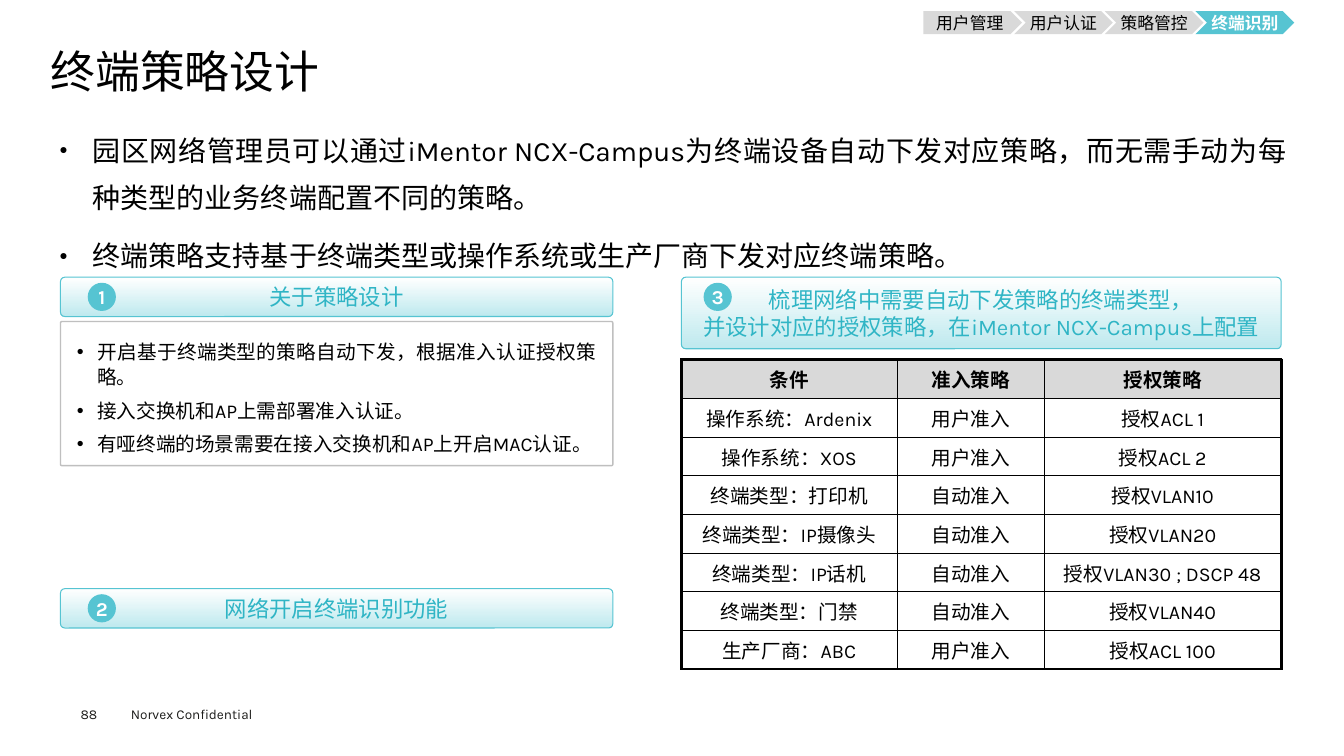
from lxml import etree
from pptx import Presentation, util as u
from pptx.dml.color import RGBColor
from pptx.enum import shapes, text
from pptx.oxml.ns import qn

# Grid: one column or row is a tenth of an inch
CELL = u.Inches(0.1)
COLS, ROWS = 133.33, 75
FONT = "Karla"
HEX = dict(ink="000000", foot="1D1D1B", white="FFFFFF", teal="56C4D2",
           deep="30B5C5", pale="BEE9EE", gray="D9D9D9", edge="BFBFBF")
KIND = shapes.MSO_SHAPE
MID, TOP = text.MSO_ANCHOR.MIDDLE, text.MSO_ANCHOR.TOP
ALIGN = dict(l=text.PP_ALIGN.LEFT, c=text.PP_ALIGN.CENTER, j=text.PP_ALIGN.JUSTIFY)


def grid(n):
    return u.Emu(round(n * CELL))


def tint(name):
    return RGBColor.from_string(HEX[name])


def mark(para, char, hang, share):
    """Give a paragraph a hanging bullet."""
    prop = para._p.get_or_add_pPr()
    prop.set("marL", str(grid(hang)))
    prop.set("indent", str(-grid(hang)))
    etree.SubElement(prop, qn("a:buSzPct")).set("val", str(share * 1000))
    etree.SubElement(prop, qn("a:buFont")).set("typeface", "Arial")
    etree.SubElement(prop, qn("a:buChar")).set("char", char)


def write(frame, lines, size=14, color="ink", bold=False, align="l", lead=None,
          before=0, after=0, bullet=None, inset=(1, 0.5), anchor=TOP, wrap=True):
    """Fill a text frame, one paragraph for each line."""
    frame.word_wrap = wrap
    frame.vertical_anchor = anchor
    frame.margin_left = frame.margin_right = grid(inset[0])
    frame.margin_top = frame.margin_bottom = grid(inset[1])
    for i, line in enumerate(lines):
        para = frame.paragraphs[0] if i == 0 else frame.add_paragraph()
        para.alignment = ALIGN[align]
        if lead:
            para.line_spacing = lead
        if before and i:
            para.space_before = u.Pt(before)
        if after:
            para.space_after = u.Pt(after)
        if bullet:
            mark(para, *bullet)
        run = para.add_run()
        run.text = line
        font = run.font
        font.name, font.size, font.bold = FONT, u.Pt(size), bold
        font.color.rgb = tint(color)


def label(slide, box, lines, **form):
    area = slide.shapes.add_textbox(*map(grid, box))
    write(area.text_frame, lines, **form)


def draw(slide, kind, box, fill=None, line=None, width=1, bend=None):
    shape = slide.shapes.add_shape(kind, *map(grid, box))
    shape.shadow.inherit = False
    if bend is not None:
        shape.adjustments[0] = bend
    if fill:
        shape.fill.solid()
        shape.fill.fore_color.rgb = tint(fill)
    else:
        shape.fill.background()
    if line:
        shape.line.color.rgb = tint(line)
        shape.line.width = u.Pt(width)
    else:
        shape.line.fill.background()
    return shape


def banner(slide, box, num, lines, shift):
    """Shaded heading with a numbered disc, shift columns from its left."""
    left, top, wide, high = box
    bar = draw(slide, KIND.ROUNDED_RECTANGLE, box, line="teal", width=0.75,
               bend=0.43 / high)
    bar.fill.gradient()
    bar.fill.gradient_angle = 270
    for stop, name in zip(bar.fill.gradient_stops, ("white", "pale")):
        stop.color.rgb = tint(name)
    write(bar.text_frame, lines, size=16, color="deep", align="c", anchor=MID)
    disc = draw(slide, KIND.OVAL, (left + shift, top + 0.55, 2.8, 2.8), fill="teal")
    write(disc.text_frame, [num], color="white", bold=True, align="c",
          inset=(0, 0), anchor=MID, wrap=False)


def trail(slide, box, names):
    """Step arrows; the last one is the current step."""
    left, top, wide, high = box
    step = 9
    for i, name in enumerate(names):
        now = i == len(names) - 1
        kind = KIND.CHEVRON if i else KIND.PENTAGON
        arrow = draw(slide, kind, (left + i * step, top, wide - step * (len(names) - 1), high),
                     fill="teal" if now else "gray")
        write(arrow.text_frame, [name], size=12, color="white" if now else "ink",
              bold=now, align="c", inset=(0, 0), anchor=MID)


def rule(cell, sides):
    """Draw the borders of a cell from a dict of side and width."""
    prop = cell._tc.get_or_add_tcPr()
    for side, width in sides.items():
        line = etree.SubElement(prop, qn("a:ln" + side), w=str(u.Pt(width)))
        fill = etree.SubElement(line, qn("a:solidFill"))
        etree.SubElement(fill, qn("a:srgbClr"), val=HEX["ink"])


def matrix(slide, box, widths, rows):
    """Policy table with a heavy frame and a gray head."""
    table = slide.shapes.add_table(len(rows), len(widths), *map(grid, box)).table
    table.horz_banding = False
    for col, wide in zip(table.columns, widths):
        col.width = grid(wide)
    last, end = len(rows) - 1, len(widths) - 1
    for r, row in enumerate(rows):
        table.rows[r].height = grid(box[3] / len(rows))
        for c, word in enumerate(row):
            cell = table.cell(r, c)
            rule(cell, dict(L=1 if c else 2.25, R=2.25 if c == end else 1,
                            T=1 if r else 2.25, B=2.25 if r == last else 1))
            if r:
                cell.fill.background()
            else:
                cell.fill.solid()
                cell.fill.fore_color.rgb = tint("gray")
            write(cell.text_frame, [word], bold=r == 0, align="c")
            cell.vertical_anchor = MID
            cell.margin_left = cell.margin_right = grid(1)
            cell.margin_top = cell.margin_bottom = grid(0.4)


def head(slide, box):
    """Title and opening points."""
    left, top, wide, high = box
    label(slide, (left, top, wide, 5.3), ["终端策略设计"], size=32, lead=0.9, inset=(0, 0))
    label(slide, (left, top + 6.6, wide, high - 6.6), [
        "园区网络管理员可以通过iMentor NCX-Campus为终端设备自动下发对应策略，而无需手动为每种类型的业务终端配置不同的策略。",
        "终端策略支持基于终端类型或操作系统或生产厂商下发对应终端策略。",
    ], size=20, align="j", lead=1.4, before=7.9, bullet=("●", 3.3, 50), inset=(0.9, 0.4))


def design(slide, box):
    """Left column: design notes and recognition."""
    left, top, wide, high = box
    notes = draw(slide, KIND.ROUNDED_RECTANGLE, (left, top + 4.4, wide, 14.3),
                 line="edge", bend=0.01)
    write(notes.text_frame, [
        "开启基于终端类型的策略自动下发，根据准入认证授权策略。",
        "接入交换机和AP上需部署准入认证。",
        "有哑终端的场景需要在接入交换机和AP上开启MAC认证。",
    ], align="j", lead=u.Pt(18), after=6, bullet=("•", 2, 100), inset=(1.6, 1.6))
    bar = 3.9
    banner(slide, (left, top, wide, bar), "1", ["关于策略设计"], 2.7)
    banner(slide, (left, top + high - bar, wide, bar), "2", ["网络开启终端识别功能"], 2.7)


def policy(slide, box):
    """Right column: heading and policy table."""
    left, top, wide, high = box
    banner(slide, (left, top, wide, 7.1), "3",
           ["梳理网络中需要自动下发策略的终端类型，",
            "并设计对应的授权策略，在iMentor NCX-Campus上配置"], 2.2)
    matrix(slide, (left, top + 8.2, wide, high - 8.2), (21.4, 14.6, 23.5), [
        ("条件", "准入策略", "授权策略"),
        ("操作系统：Ardenix", "用户准入", "授权ACL 1"),
        ("操作系统：XOS", "用户准入", "授权ACL 2"),
        ("终端类型：打印机", "自动准入", "授权VLAN10"),
        ("终端类型：IP摄像头", "自动准入", "授权VLAN20"),
        ("终端类型：IP话机", "自动准入", "授权VLAN30 ; DSCP 48"),
        ("终端类型：门禁", "自动准入", "授权VLAN40"),
        ("生产厂商：ABC", "用户准入", "授权ACL 100"),
    ])


def foot(slide, box):
    """Page number and notice."""
    left, top, wide, high = box
    form = dict(size=9.7, color="foot")
    label(slide, (left + 4, top, wide - 4, high), ["Norvex Confidential"], **form)
    label(slide, (left, top + 0.5, 5.5, 1.6), ["88"], inset=(0, 0), **form)


def main():
    deck = Presentation()
    deck.slide_width, deck.slide_height = grid(COLS), grid(ROWS)
    slide = deck.slides.add_slide(deck.slide_layouts[6])
    foot(slide, (8, 69.5, 20, 2.7))
    head(slide, (5, 4.9, 123.5, 22.7))
    design(slide, (6, 27.5, 54.8, 34.8))
    policy(slide, (67.6, 27.5, 59.5, 38.9))
    trail(slide, (91.6, 1.1, 36.8, 2.3), ["用户管理", "用户认证", "策略管控", "终端识别"])
    deck.save("out.pptx")


if __name__ == "__main__":
    main()
